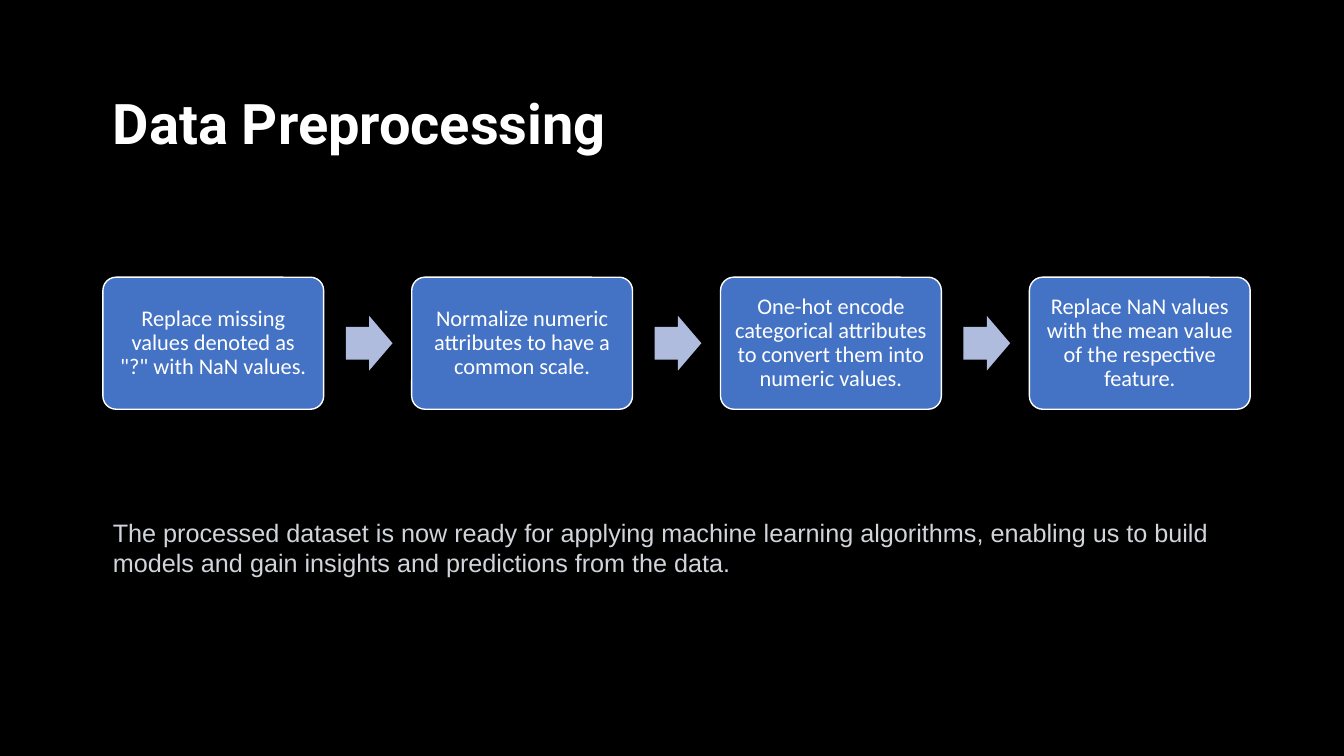
from pptx import Presentation
from pptx.dml.color import RGBColor
from pptx.enum.shapes import MSO_SHAPE as Preset
from pptx.enum.text import MSO_ANCHOR as Anchor, PP_ALIGN as Align
from pptx.util import Pt

STEPS = [
    'Replace missing values denoted as "?" with NaN values.',
    "Normalize numeric attributes to have a common scale.",
    "One-hot encode categorical attributes to convert them into numeric values.",
    "Replace NaN values with the mean value of the respective feature.",
]
LEFT = 73.5
STEP_TOP, STEP_WIDTH, STEP_HEIGHT, STEP_PITCH = 198, 157.7, 94.3, 220.6
ARROW_OFFSET, ARROW_WIDTH, ARROW_HEIGHT = 173.5, 33.4, 39.1


def color(value):
    return RGBColor.from_string(value)


def write(frame, text, *, size, font, fill, bold=False, align=Align.LEFT,
          anchor=Anchor.TOP, spacing=1.0, inset=None):
    frame.word_wrap = True
    frame.vertical_anchor = anchor
    if inset is not None:
        frame.margin_left = frame.margin_right = Pt(inset)
        frame.margin_top = frame.margin_bottom = Pt(inset)
    paragraph = frame.paragraphs[0]
    paragraph.alignment = align
    paragraph.line_spacing = spacing
    run = paragraph.add_run()
    run.text = text
    run.font.size = Pt(size)
    run.font.name = font
    run.font.bold = bold
    run.font.color.rgb = color(fill)


class Deck:
    white = "FFFFFF"
    step_fill = "4472C4"
    arrow_fill = "B0BCDE"
    body_fill = "D1D5DB"

    def __init__(self, slide):
        self.slide = slide
        background = slide.background.fill
        background.solid()
        background.fore_color.rgb = color("000000")

    def text(self, left, top, width, height, text, **style):
        box = self.slide.shapes.add_textbox(Pt(left), Pt(top), Pt(width), Pt(height))
        write(box.text_frame, text, **style)

    def shape(self, preset, left, top, width, height, fill, adjustments):
        shape = self.slide.shapes.add_shape(
            preset, Pt(left), Pt(top), Pt(width), Pt(height))
        shape.shadow.inherit = False
        shape.fill.solid()
        shape.fill.fore_color.rgb = color(fill)
        for index, value in enumerate(adjustments):
            shape.adjustments[index] = value
        return shape

    def step(self, left, text):
        shape = self.shape(Preset.ROUNDED_RECTANGLE, left, STEP_TOP,
                           STEP_WIDTH, STEP_HEIGHT, self.step_fill, [0.1])
        shape.line.color.rgb = color(self.white)
        shape.line.width = Pt(1)
        write(shape.text_frame, text, size=16, font="Calibri", fill=self.white,
              align=Align.CENTER, anchor=Anchor.MIDDLE, spacing=0.9, inset=7.5)

    def arrow(self, left):
        top = STEP_TOP + (STEP_HEIGHT - ARROW_HEIGHT) / 2
        shape = self.shape(Preset.RIGHT_ARROW, left, top, ARROW_WIDTH,
                           ARROW_HEIGHT, self.arrow_fill, [0.6, 0.5])
        shape.line.fill.background()


def main():
    presentation = Presentation()
    presentation.slide_width = Pt(960)
    presentation.slide_height = Pt(540)
    deck = Deck(presentation.slides.add_slide(presentation.slide_layouts[6]))

    deck.text(LEFT, 60, 381.6, 55.4, "Data Preprocessing",
              size=40, font="Roboto", fill=deck.white, bold=True)
    for index, text in enumerate(STEPS):
        left = LEFT + index * STEP_PITCH
        deck.step(left, text)
        if index < len(STEPS) - 1:
            deck.arrow(left + ARROW_OFFSET)
    deck.text(LEFT, 366, 819.4, 51,
              "The processed dataset is now ready for applying machine learning "
              "algorithms, enabling us to build models and gain insights and "
              "predictions from the data.",
              size=18, font="Arial", fill=deck.body_fill)

    presentation.save("out.pptx")


if __name__ == "__main__":
    main()
